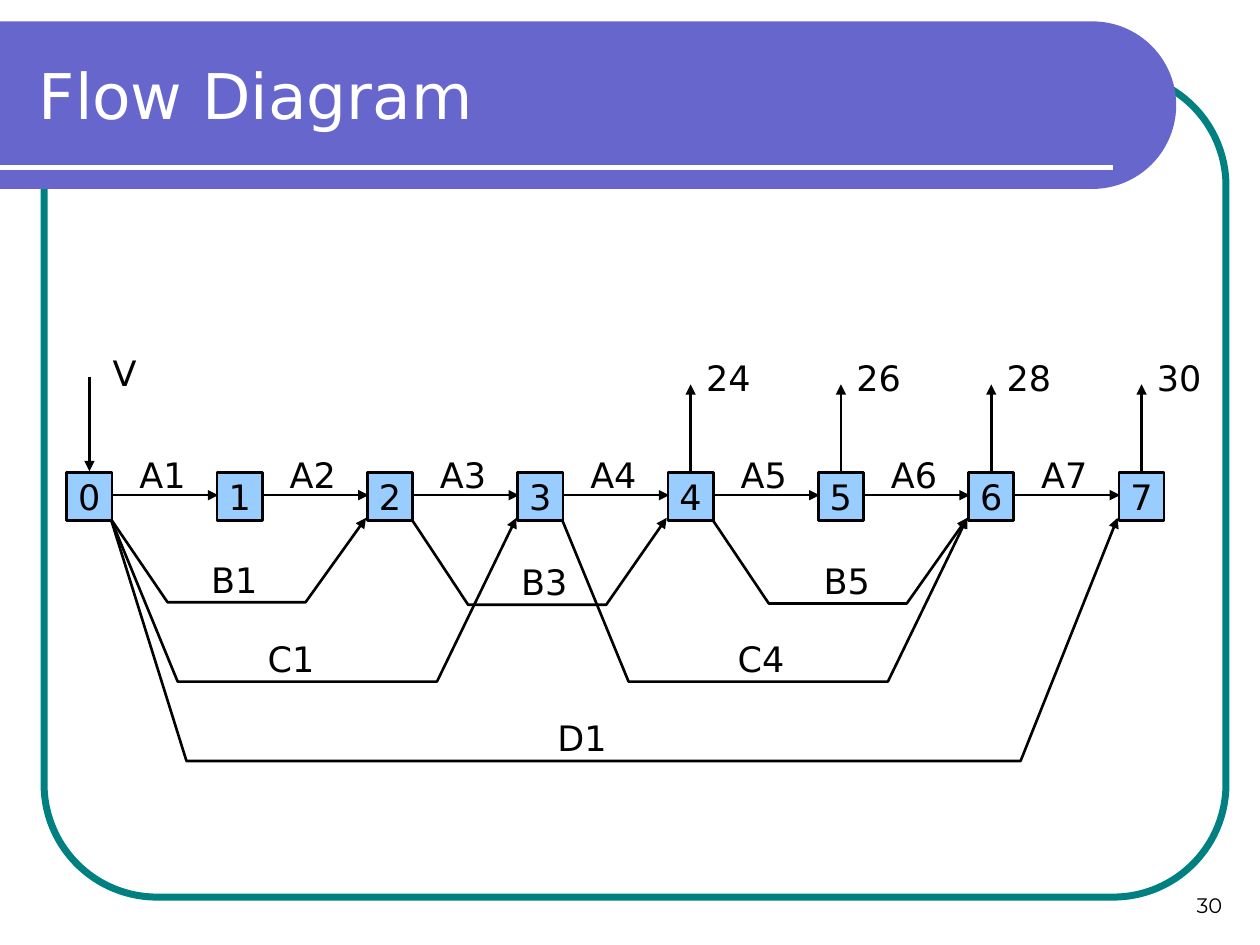
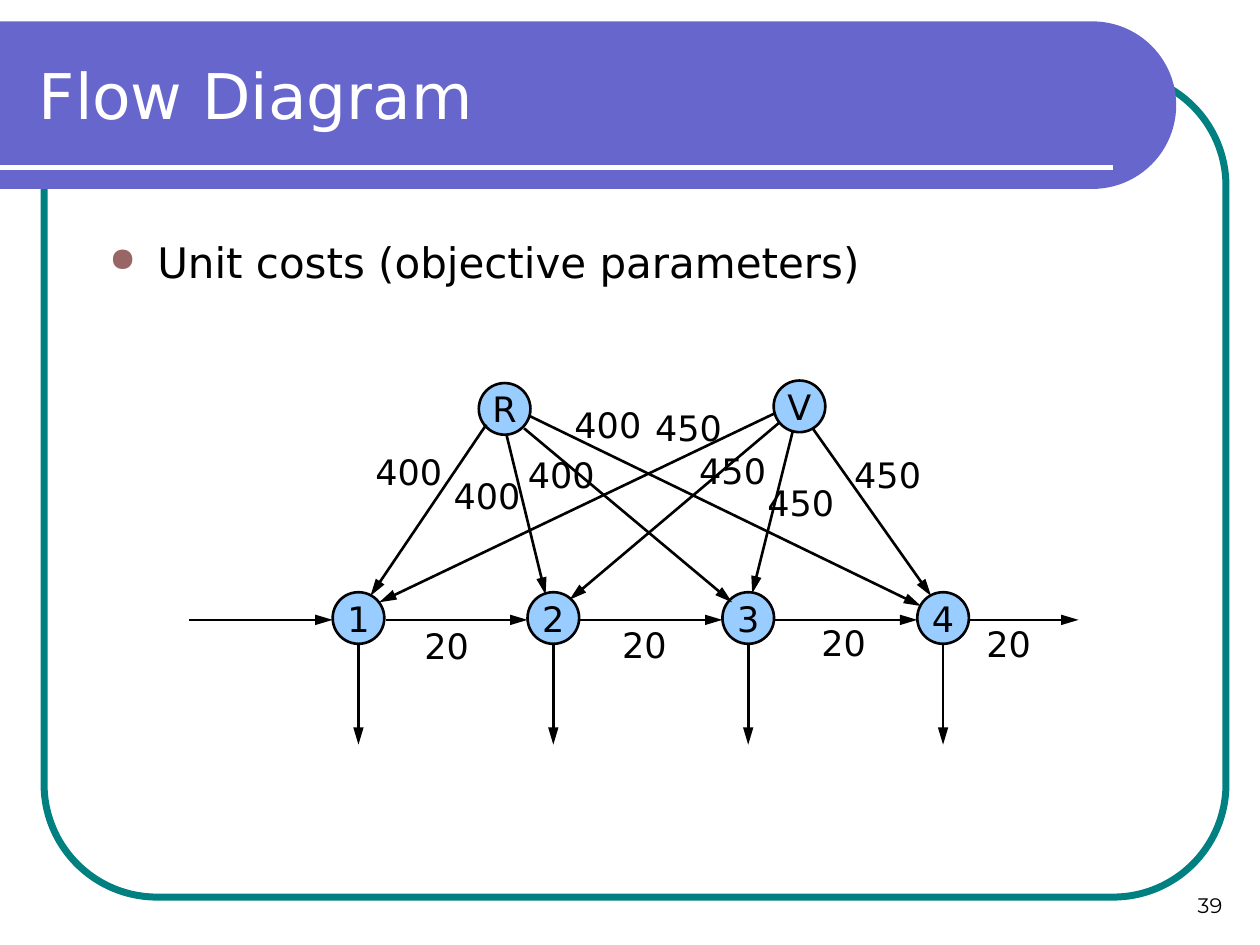
from math import cos, pi, sin

from lxml.etree import SubElement
from pptx import Presentation
from pptx.dml.color import RGBColor
from pptx.enum.shapes import MSO_CONNECTOR, MSO_SHAPE
from pptx.enum.text import MSO_ANCHOR, PP_ALIGN
from pptx.oxml.ns import qn
from pptx.util import Inches, Pt

# Shared look
COLOURS = {"band": "6666CC", "frame": "008080", "node": "99CCFF",
           "bullet": "996666", "ink": "000000", "paper": "FFFFFF"}
FONT, NUMBER_FONT = "DejaVu Sans", "Montserrat"
WIDTH, HEIGHT = 10, 7.5
LABEL_SIZE, LABEL_HEIGHT = 20, 0.43
TITLE = "Flow Diagram"

# Time line: a row of boxes, one per period
PERIODS = ["0", "1", "2", "3", "4", "5", "6", "7"]
PERIOD_LEFT, PERIOD_TOP, PERIOD_PITCH = 0.53, 3.75, 8.35 / 7
PERIOD_WIDTH, PERIOD_HEIGHT = 0.36, 0.38
DEMANDS = {4: "24", 5: "26", 6: "28", 7: "30"}
# Label, first period, last period, depth of the run, left of the label
DETOURS = [
    ("D1", 0, 7, 6.04, 4.32),
    ("B1", 0, 2, 4.78, 1.56),
    ("B3", 2, 4, 4.80, 4.02),
    ("B5", 4, 6, 4.79, 6.42),
    ("C1", 0, 3, 5.41, 2.01),
    ("C4", 3, 6, 5.41, 5.74),
]
# Horizontal reach of the falling and the rising side, by letter
SLOPES = {"B": (0.45, 0.48), "C": (0.53, 0.63), "D": (0.60, 0.77)}

# Unit costs: two sources above a row of periods
COST_BULLET = "Unit costs (objective parameters)"
STAGES = ["1", "2", "3", "4"]
STAGE_LEFT, STAGE_TOP, STAGE_PITCH, CIRCLE = 2.64, 4.70, 4.64 / 3, 0.41
FLOW_Y, FLOW_START, FLOW_END, DEMAND_END = 4.92, 1.50, 8.56, 5.91
SOURCES = {"R": (3.80, 3.04), "V": (6.14, 3.02)}
# Start, end, cost, label position
SUPPLY_LINKS = [
    ((3.86, 3.37), (2.94, 4.73), "400", (2.88, 3.53)),
    ((4.02, 3.45), (4.33, 4.72), "400", (3.50, 3.72)),
    ((4.16, 3.40), (5.81, 4.78), "400", (4.09, 3.55)),
    ((4.20, 3.30), (7.31, 4.81), "400", (4.46, 3.15)),
    ((6.15, 3.28), (3.01, 4.78), "450", (5.10, 3.18)),
    ((6.19, 3.35), (4.52, 4.76), "450", (5.45, 3.52)),
    ((6.29, 3.43), (5.97, 4.71), "450", (5.99, 3.77)),
    ((6.45, 3.40), (7.39, 4.73), "450", (6.68, 3.55)),
]
HOLDING_COST = "20"
HOLDING_LABELS = [(3.24, 4.91), (4.81, 4.90), (6.39, 4.88), (7.70, 4.89)]


def colour(name):
    """Return the named colour of the palette."""
    return RGBColor.from_string(COLOURS[name])


def write(shape, text, size, ink="ink", font=FONT, align=PP_ALIGN.CENTER,
          anchor=MSO_ANCHOR.TOP, wrap=True):
    """Put one formatted paragraph into a shape and return it."""
    frame = shape.text_frame
    frame.text = text
    frame.word_wrap = wrap
    frame.vertical_anchor = anchor
    paragraph = frame.paragraphs[0]
    paragraph.alignment = align
    style = paragraph.runs[0].font
    style.size, style.name = Pt(size), font
    style.color.rgb = colour(ink)
    return paragraph


def add_text(slide, box, text, size, **options):
    """Add a text box at (left, top, width, height)."""
    shape = slide.shapes.add_textbox(*map(Inches, box))
    return write(shape, text, size, **options)


def add_label(slide, position, text, width=0.6):
    """Add a centred diagram label."""
    add_text(slide, (*position, width, LABEL_HEIGHT), text, LABEL_SIZE)


def style_shape(shape, fill=None, line=None, weight=1.5):
    """Set fill and outline, and drop the shadow."""
    shape.shadow.inherit = False
    if fill:
        shape.fill.solid()
        shape.fill.fore_color.rgb = colour(fill)
    else:
        shape.fill.background()
    if line:
        shape.line.color.rgb = colour(line)
        shape.line.width = Pt(weight)
    else:
        shape.line.fill.background()


def add_arrowhead(shape, length="med"):
    """Put a triangle at the end of a line."""
    SubElement(shape.line._get_or_add_ln(), qn("a:tailEnd"),
               type="triangle", w="med", len=length)


def add_line(slide, start, end, ink="ink", weight=1.5, head="med"):
    """Draw a straight line, by default with an arrowhead."""
    line = slide.shapes.add_connector(
        MSO_CONNECTOR.STRAIGHT, *map(Inches, (*start, *end)))
    line.line.color.rgb = colour(ink)
    line.line.width = Pt(weight)
    if head:
        add_arrowhead(line, head)
    SubElement(line._element.spPr, qn("a:effectLst"))


def add_outline(slide, points, closed):
    """Build a freeform through points given in inches."""
    corners = [(Inches(x), Inches(y)) for x, y in points]
    builder = slide.shapes.build_freeform(*corners[0])
    builder.add_line_segments(corners[1:], close=closed)
    return builder.convert_to_shape()


def add_node(slide, kind, box, text):
    """Add a numbered or lettered node."""
    shape = slide.shapes.add_shape(kind, *map(Inches, box))
    style_shape(shape, "node", "ink")
    write(shape, text, LABEL_SIZE, anchor=MSO_ANCHOR.MIDDLE, wrap=False)


def add_base_slide(presentation, number):
    """Add a slide with frame, title band, title and page number."""
    slide = presentation.slides.add_slide(presentation.slide_layouts[6])
    frame = slide.shapes.add_shape(
        MSO_SHAPE.ROUNDED_RECTANGLE, *map(Inches, (0.35, 0.58, 9.38, 6.54)))
    frame.adjustments[0] = 0.137
    style_shape(frame, line="frame", weight=4)

    top, bottom, centre_x, steps = 0.17, 1.5, 8.67, 48
    radius, centre_y = (bottom - top) / 2, (top + bottom) / 2
    angles = [pi * step / steps - pi / 2 for step in range(steps + 1)]
    arc = [(centre_x + radius * cos(angle), centre_y + radius * sin(angle))
           for angle in angles]
    style_shape(add_outline(slide, [(0, top), *arc, (0, bottom)], True), "band")
    add_line(slide, (0, 1.33), (8.83, 1.33), "paper", 3, head=None)

    add_text(slide, (7.47, 6.83, 2.33, 0.5), number, 12, font=NUMBER_FONT,
             align=PP_ALIGN.RIGHT, anchor=MSO_ANCHOR.BOTTOM)
    add_text(slide, (0.21, 0.25, 8.77, 1), TITLE, 36, ink="paper",
             align=PP_ALIGN.LEFT, anchor=MSO_ANCHOR.MIDDLE)
    return slide


def add_bullet(slide, box, text):
    """Add a bulleted line with a hanging indent."""
    paragraph = add_text(slide, box, text, 24, align=PP_ALIGN.LEFT)
    paragraph.line_spacing = 0.9
    properties = paragraph._p.get_or_add_pPr()
    properties.set("marL", str(Inches(0.38)))
    properties.set("indent", str(Inches(-0.38)))
    bullet_colour = SubElement(properties, qn("a:buClr"))
    SubElement(bullet_colour, qn("a:srgbClr"), val=COLOURS["bullet"])
    SubElement(properties, qn("a:buSzPct"), val="80000")
    SubElement(properties, qn("a:buChar"), char="●")


def draw_time_line(slide):
    """Draw the periods, the steps between them, detours and demands."""
    lefts = [PERIOD_LEFT + PERIOD_PITCH * index for index in range(len(PERIODS))]
    rights = [left + PERIOD_WIDTH for left in lefts]
    middles = [left + PERIOD_WIDTH / 2 for left in lefts]
    corner_y = PERIOD_TOP + PERIOD_HEIGHT - 0.01
    step_y = PERIOD_TOP + PERIOD_HEIGHT / 2 - 0.01

    for left, period in zip(lefts, PERIODS):
        add_node(slide, MSO_SHAPE.RECTANGLE,
                 (left, PERIOD_TOP, PERIOD_WIDTH, PERIOD_HEIGHT), period)
    for index, (right, following) in enumerate(zip(rights, lefts[1:]), start=1):
        add_line(slide, (right, step_y), (following + 0.01, step_y))
        add_label(slide, (right + 0.1, 3.55), f"A{index}")
    for text, first, last, depth, label_left in DETOURS:
        fall, rise = SLOPES[text[0]]
        start, end = rights[first] - 0.01, lefts[last] - 0.01
        route = add_outline(slide, [(start, corner_y), (start + fall, depth),
                                    (end - rise, depth), (end, corner_y - 0.01)], False)
        style_shape(route, line="ink")
        add_arrowhead(route)
        add_label(slide, (label_left, depth - 0.4), text)
    for index, demand in DEMANDS.items():
        add_line(slide, (middles[index], PERIOD_TOP), (middles[index], 3.05))
        add_label(slide, (middles[index], 2.78), demand)
    add_line(slide, (middles[0], 2.99), (middles[0], PERIOD_TOP - 0.01))
    add_label(slide, (middles[0] - 0.02, 2.74), "V")


def draw_unit_costs(slide):
    """Draw sources, stages, supply links, stock flow and demand."""
    lefts = [STAGE_LEFT + STAGE_PITCH * index for index in range(len(STAGES))]
    nodes = list(zip(STAGES, [(left, STAGE_TOP) for left in lefts]))
    for text, position in nodes + list(SOURCES.items()):
        add_node(slide, MSO_SHAPE.OVAL, (*position, CIRCLE, CIRCLE), text)

    flow_starts = [FLOW_START] + [left + CIRCLE + 0.01 for left in lefts]
    for start, end in zip(flow_starts, lefts + [FLOW_END]):
        add_line(slide, (start, FLOW_Y), (end, FLOW_Y), head="lg")
    for left in lefts:
        middle = left + CIRCLE / 2
        add_line(slide, (middle, STAGE_TOP + CIRCLE), (middle, DEMAND_END), head="lg")
    for start, end, cost, position in SUPPLY_LINKS:
        add_line(slide, start, end, head="lg")
        add_label(slide, position, cost, 0.73)
    for position in HOLDING_LABELS:
        add_label(slide, position, HOLDING_COST, 0.61)


presentation = Presentation()
presentation.slide_width, presentation.slide_height = Inches(WIDTH), Inches(HEIGHT)

draw_time_line(add_base_slide(presentation, "30"))

cost_slide = add_base_slide(presentation, "39")
add_bullet(cost_slide, (0.77, 1.87, 8.7, 0.56), COST_BULLET)
draw_unit_costs(cost_slide)

presentation.save("out.pptx")
